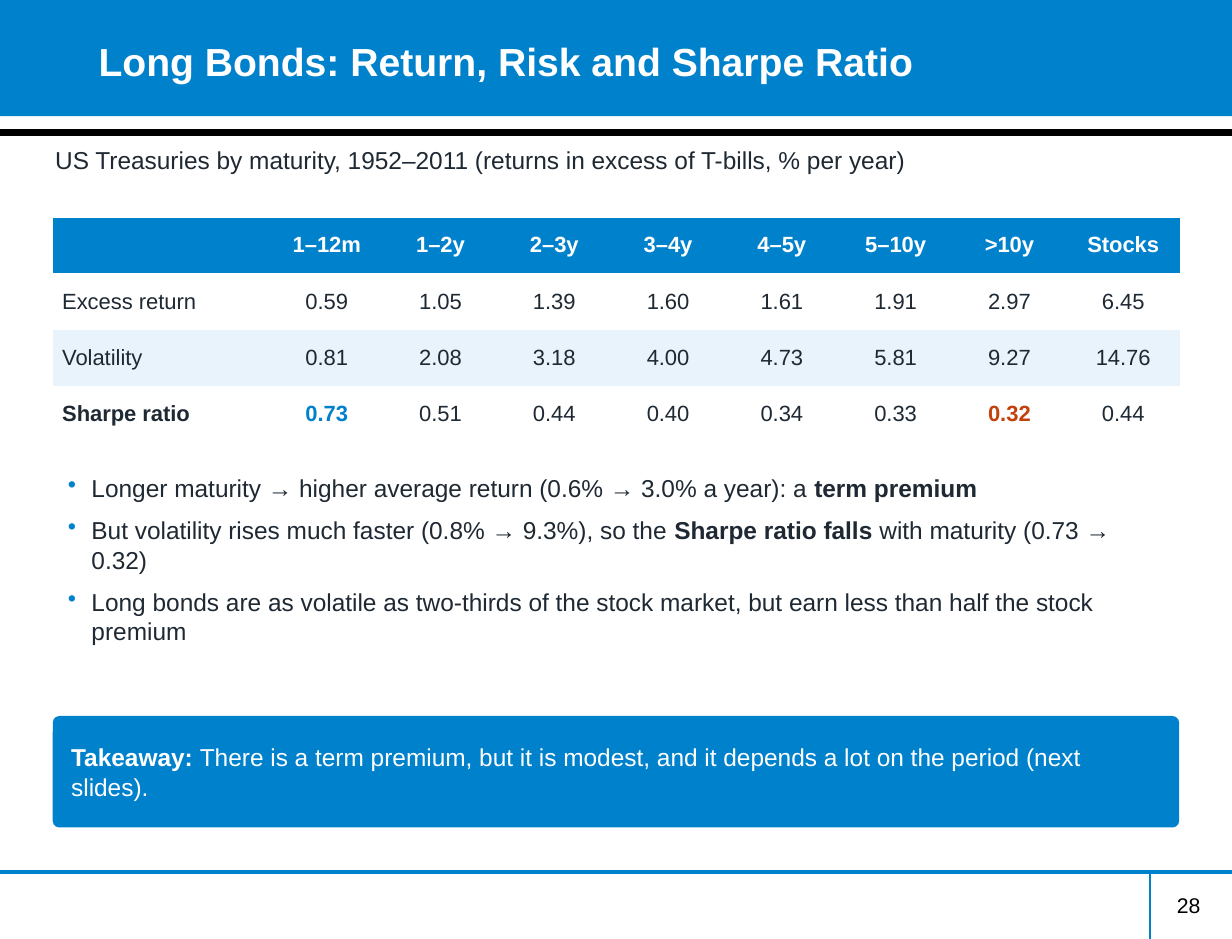
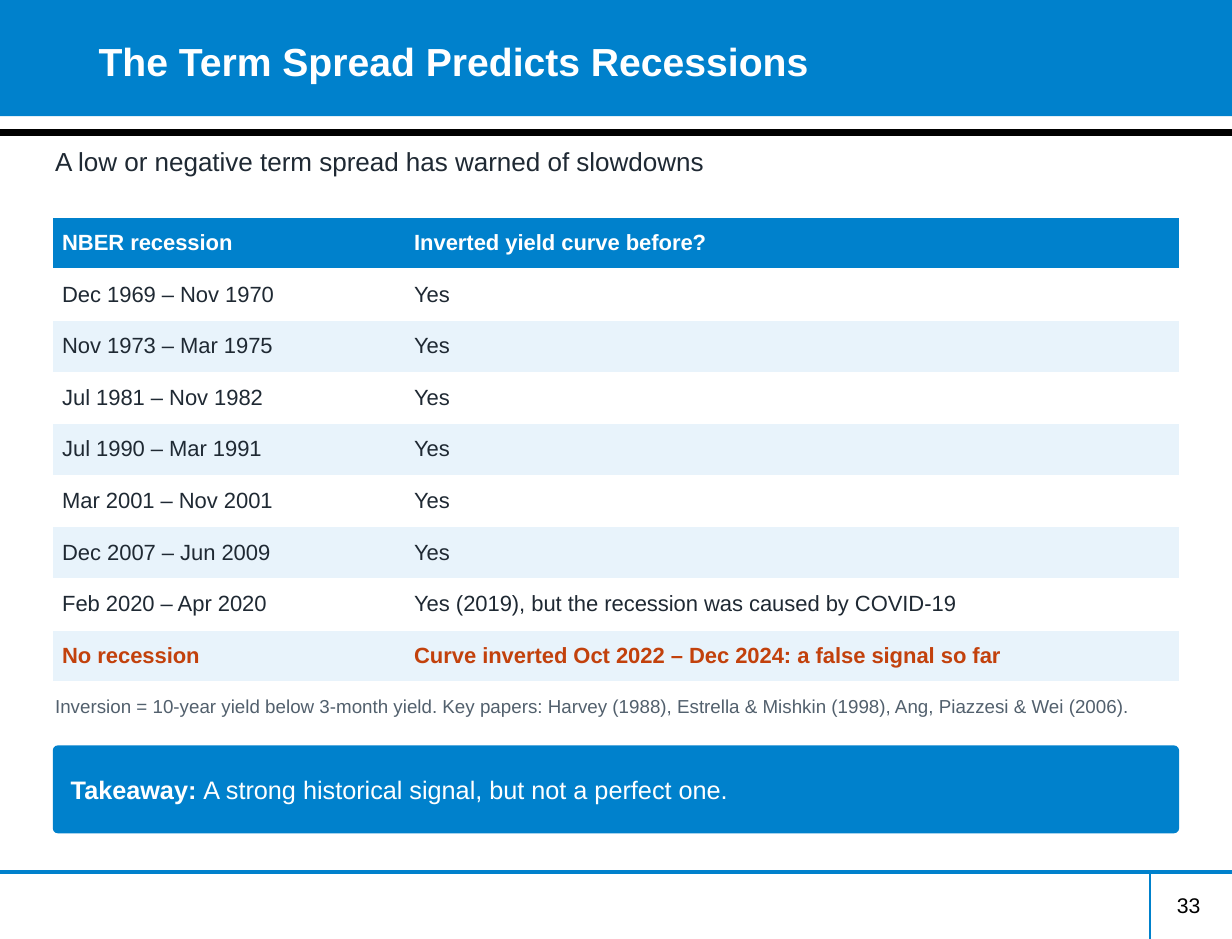
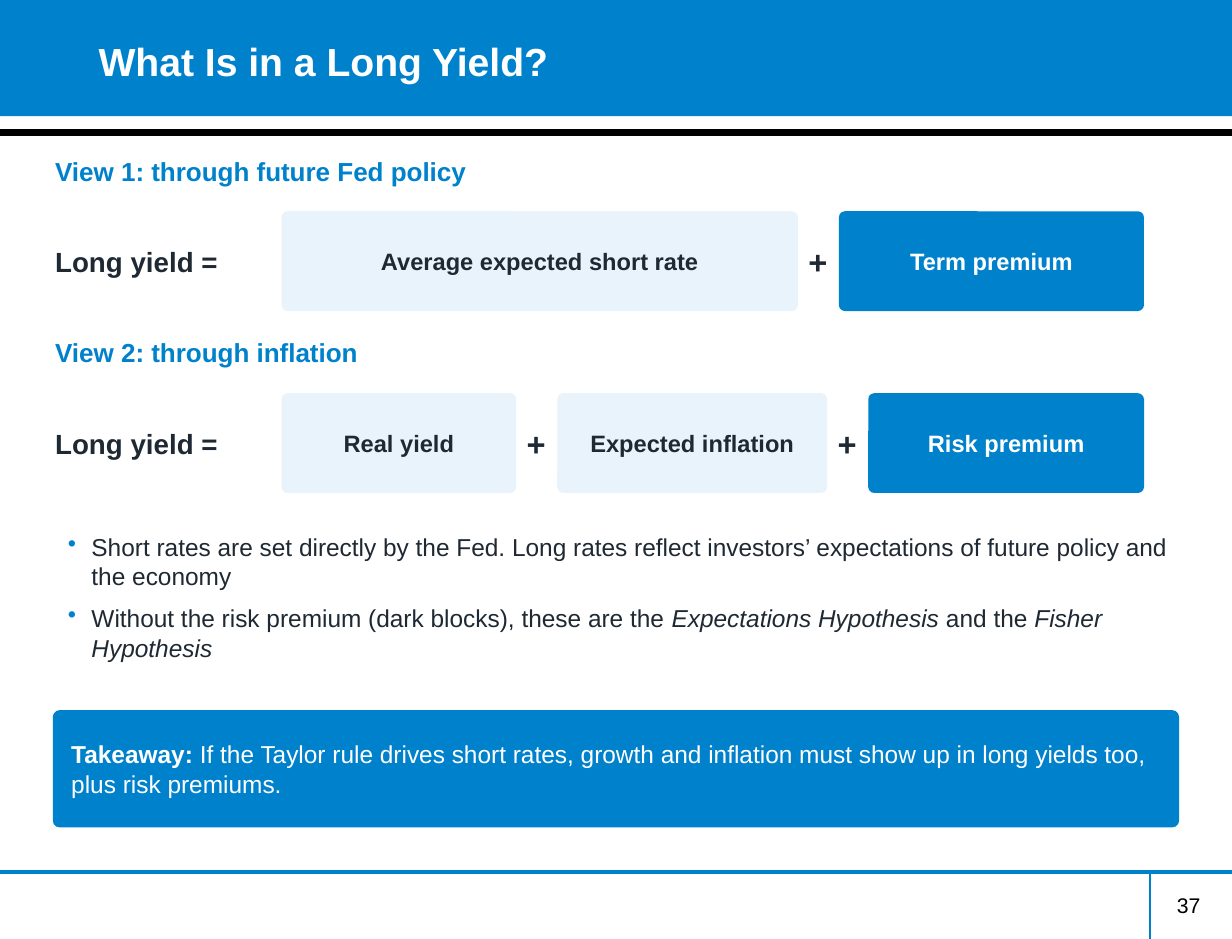
"""Build three slides on bond returns, the term spread and long yields."""
from lxml.etree import SubElement
from pptx import Presentation
from pptx.dml.color import RGBColor
from pptx.enum.shapes import MSO_CONNECTOR, MSO_SHAPE
from pptx.enum.text import MSO_ANCHOR, PP_ALIGN
from pptx.oxml.ns import qn
from pptx.util import Inches, Pt

BLUE = RGBColor(0x00, 0x81, 0xCC)
PALE = RGBColor(0xE8, 0xF3, 0xFB)
INK = RGBColor(0x1F, 0x29, 0x33)
GREY = RGBColor(0x52, 0x60, 0x6D)
RUST = RGBColor(0xC2, 0x41, 0x0C)
WHITE = RGBColor(0xFF, 0xFF, 0xFF)
BLACK = RGBColor(0x00, 0x00, 0x00)

FONT = "Arial"
WIDTH, HEIGHT = 10.5, 8
LEFT, BODY = 0.45, 9.6
FOOT, PAGE_RULE = 7.43, 9.8
BLOCK_LEFT, BLOCK_HEIGHT, BLOCK_GAP = 2.4, 0.85, 0.35
TOP, MIDDLE = MSO_ANCHOR.TOP, MSO_ANCHOR.MIDDLE
CENTER, RIGHT = PP_ALIGN.CENTER, PP_ALIGN.RIGHT

RETURNS = {
    "title": "Long Bonds: Return, Risk and Sharpe Ratio",
    "page": 28,
    "lead": "US Treasuries by maturity, 1952–2011 (returns in excess of T-bills, % per year)",
    "rows": [
        ["", "1–12m", "1–2y", "2–3y", "3–4y", "4–5y", "5–10y", ">10y", "Stocks"],
        ["Excess return", "0.59", "1.05", "1.39", "1.60", "1.61", "1.91", "2.97", "6.45"],
        ["Volatility", "0.81", "2.08", "3.18", "4.00", "4.73", "5.81", "9.27", "14.76"],
        ["Sharpe ratio", "0.73", "0.51", "0.44", "0.40", "0.34", "0.33", "0.32", "0.44"],
    ],
    "marks": {(3, 0): INK, (3, 1): BLUE, (3, 7): RUST},
    "bullets": [
        ["Longer maturity → higher average return (0.6% → 3.0% a year): a ",
         ("term premium", "b")],
        ["But volatility rises much faster (0.8% → 9.3%), so the ",
         ("Sharpe ratio falls", "b"), " with maturity (0.73 → 0.32)"],
        ["Long bonds are as volatile as two-thirds of the stock market, "
         "but earn less than half the stock premium"],
    ],
    "takeaway": "There is a term premium, but it is modest, and it depends a lot "
                "on the period (next slides).",
}

RECESSIONS = {
    "title": "The Term Spread Predicts Recessions",
    "page": 33,
    "lead": "A low or negative term spread has warned of slowdowns",
    "rows": [
        ["NBER recession", "Inverted yield curve before?"],
        ["Dec 1969 – Nov 1970", "Yes"],
        ["Nov 1973 – Mar 1975", "Yes"],
        ["Jul 1981 – Nov 1982", "Yes"],
        ["Jul 1990 – Mar 1991", "Yes"],
        ["Mar 2001 – Nov 2001", "Yes"],
        ["Dec 2007 – Jun 2009", "Yes"],
        ["Feb 2020 – Apr 2020", "Yes (2019), but the recession was caused by COVID-19"],
        ["No recession", "Curve inverted Oct 2022 – Dec 2024: a false signal so far"],
    ],
    "marks": {(8, 0): RUST, (8, 1): RUST},
    "note": "Inversion = 10-year yield below 3-month yield. Key papers: Harvey (1988), "
            "Estrella & Mishkin (1998), Ang, Piazzesi & Wei (2006).",
    "takeaway": "A strong historical signal, but not a perfect one.",
}

YIELD = {
    "title": "What Is in a Long Yield?",
    "page": 37,
    "views": [
        ("View 1: through future Fed policy",
         [("Average expected short rate", 4.4), ("Term premium", 2.6)]),
        ("View 2: through inflation",
         [("Real yield", 2), ("Expected inflation", 2.3), ("Risk premium", 2.35)]),
    ],
    "bullets": [
        ["Short rates are set directly by the Fed. Long rates reflect investors’ "
         "expectations of future policy and the economy"],
        ["Without the risk premium (dark blocks), these are the ",
         ("Expectations Hypothesis", "i"), " and the ", ("Fisher Hypothesis", "i")],
    ],
    "takeaway": "If the Taylor rule drives short rates, growth and inflation must show up "
                "in long yields too, plus risk premiums.",
}


def inches(*lengths):
    return [Inches(length) for length in lengths]


def add_runs(p, runs, size, color, bold=False):
    for run in runs:
        text, style = (run, "") if isinstance(run, str) else run
        r = p.add_run()
        r.text = text
        r.font.name, r.font.size = FONT, Pt(size)
        r.font.color.rgb = color
        r.font.bold = bold or style == "b"
        r.font.italic = style == "i"


def set_frame(tf, inset, anchor):
    tf.word_wrap = True
    tf.vertical_anchor = anchor
    tf.margin_left = tf.margin_right = Inches(inset[0])
    tf.margin_top = tf.margin_bottom = Inches(inset[1])


def write(sp, runs, size, color, bold=False, align=None, anchor=TOP,
          inset=(0.02, 0.02), after=4):
    set_frame(sp.text_frame, inset, anchor)
    p = sp.text_frame.paragraphs[0]
    p.alignment = align
    p.space_after = Pt(after)
    add_runs(p, runs, size, color, bold)


def add_text(s, box, text, size, color, **look):
    write(s.shapes.add_textbox(*inches(*box)), [text], size, color, **look)


def add_box(s, box, fill, kind=MSO_SHAPE.ROUNDED_RECTANGLE):
    sp = s.shapes.add_shape(kind, *inches(*box))
    sp.shadow.inherit = False
    sp.fill.solid()
    sp.fill.fore_color.rgb = fill
    sp.line.fill.background()
    if kind == MSO_SHAPE.ROUNDED_RECTANGLE:
        sp.adjustments[0] = 0.06
    return sp


def add_rule(s, ends, color, weight):
    line = s.shapes.add_connector(MSO_CONNECTOR.STRAIGHT, *inches(*ends))
    line.line.color.rgb = color
    line.line.width = Pt(weight)
    SubElement(line._element.spPr, qn("a:effectLst"))


def add_base(prs, content):
    s = prs.slides.add_slide(prs.slide_layouts[6])
    add_box(s, (0, 0, WIDTH, 0.99), BLUE, MSO_SHAPE.RECTANGLE)
    add_rule(s, (0, 1.13, WIDTH, 1.13), BLACK, 4)
    add_rule(s, (0, FOOT, WIDTH, FOOT), BLUE, 2)
    add_rule(s, (PAGE_RULE, FOOT, PAGE_RULE, HEIGHT), BLUE, 1)
    add_text(s, (0.73, -0.15, 9.45, 1.33), content["title"], 24, WHITE, bold=True,
             anchor=MIDDLE, inset=(0.11, 0.05), after=0)
    add_text(s, (7.89, 7.55, 2.45, 0.45), str(content["page"]), 13, BLACK,
             align=RIGHT, inset=(0.11, 0.05), after=0)
    return s


def set_borders(cell):
    tc_pr = cell._tc.get_or_add_tcPr()
    for side in "LRTB":
        ln = SubElement(tc_pr, qn(f"a:ln{side}"), w=str(Pt(0.5)))
        if side in "LR":
            SubElement(ln, qn("a:noFill"))
        else:
            fill = SubElement(ln, qn("a:solidFill"))
            SubElement(fill, qn("a:srgbClr"), val=str(WHITE))


def add_grid(s, content, widths, row_height, align):
    rows, marks = content["rows"], content["marks"]
    box = (LEFT, 1.85, sum(widths), row_height * len(rows))
    table = s.shapes.add_table(len(rows), len(widths), *inches(*box)).table
    for column, width in zip(table.columns, widths):
        column.width = Inches(width)
    for i, row in enumerate(rows):
        table.rows[i].height = Inches(row_height)
        for j, text in enumerate(row):
            cell = table.cell(i, j)
            set_borders(cell)
            cell.fill.solid()
            cell.fill.fore_color.rgb = BLUE if i == 0 else (PALE, WHITE)[i % 2]
            cell.vertical_anchor = MIDDLE
            cell.margin_left = cell.margin_right = Inches(0.08)
            cell.margin_top = cell.margin_bottom = Inches(0.04)
            p = cell.text_frame.paragraphs[0]
            p.alignment = align if j else None
            if text:
                color = WHITE if i == 0 else marks.get((i, j), INK)
                add_runs(p, [text], 13.5, color, i == 0 or (i, j) in marks)


def add_bullets(s, top, height, items):
    tf = s.shapes.add_textbox(*inches(LEFT, top, BODY, height)).text_frame
    set_frame(tf, (0.08, 0.08), TOP)
    for i, runs in enumerate(items):
        p = tf.add_paragraph() if i else tf.paragraphs[0]
        p_pr = p._p.get_or_add_pPr()
        p_pr.set("marL", str(Inches(0.25)))
        p_pr.set("indent", str(Inches(-0.2)))
        SubElement(SubElement(p_pr, qn("a:buClr")), qn("a:srgbClr"), val=str(BLUE))
        SubElement(p_pr, qn("a:buChar"), char="•")
        p.space_after = Pt(8)
        add_runs(p, runs, 15, INK)


def add_takeaway(s, top, height, text, size=15):
    write(add_box(s, (LEFT, top, BODY, height), BLUE), [("Takeaway: ", "b"), text],
          size, WHITE, align=PP_ALIGN.LEFT, anchor=MIDDLE, inset=(0.14, 0.14))


def add_view(s, top, heading, blocks):
    add_text(s, (LEFT, top, BODY, 0.45), heading, 16, BLUE, bold=True)
    top += 0.5
    add_text(s, (LEFT, top, 1.9, BLOCK_HEIGHT), "Long yield =", 17, INK,
             bold=True, anchor=MIDDLE)
    x = BLOCK_LEFT
    for i, (label, width) in enumerate(blocks):
        premium = i == len(blocks) - 1
        if i:
            add_text(s, (x - BLOCK_GAP + 0.02, top, 0.3, BLOCK_HEIGHT), "+", 20, INK,
                     bold=True, align=CENTER, anchor=MIDDLE, inset=(0, 0))
        write(add_box(s, (x, top, width, BLOCK_HEIGHT), BLUE if premium else PALE),
              [label], 14.5, WHITE if premium else INK, bold=True,
              align=CENTER, anchor=MIDDLE, inset=(0.06, 0.06))
        x += width + BLOCK_GAP


def build_returns(prs):
    s = add_base(prs, RETURNS)
    add_text(s, (LEFT, 1.22, BODY, 0.5), RETURNS["lead"], 15, INK)
    add_grid(s, RETURNS, [1.85] + [0.97] * 8, 0.48, CENTER)
    add_bullets(s, 3.95, 2, RETURNS["bullets"])
    add_takeaway(s, 6.1, 0.95, RETURNS["takeaway"])


def build_recessions(prs):
    s = add_base(prs, RECESSIONS)
    add_text(s, (LEFT, 1.22, BODY, 0.5), RECESSIONS["lead"], 16, INK)
    add_grid(s, RECESSIONS, [3, 6.6], 0.44, None)
    add_text(s, (LEFT, 5.9, BODY, 0.4), RECESSIONS["note"], 11.5, GREY)
    add_takeaway(s, 6.35, 0.75, RECESSIONS["takeaway"], 15.5)


def build_yield(prs):
    s = add_base(prs, YIELD)
    for i, (heading, blocks) in enumerate(YIELD["views"]):
        add_view(s, 1.3 + 1.55 * i, heading, blocks)
    add_bullets(s, 4.45, 1.45, YIELD["bullets"])
    add_takeaway(s, 6.05, 1, YIELD["takeaway"])


def main():
    prs = Presentation()
    prs.slide_width, prs.slide_height = inches(WIDTH, HEIGHT)
    build_returns(prs)
    build_recessions(prs)
    build_yield(prs)
    prs.save("out.pptx")


if __name__ == "__main__":
    main()
